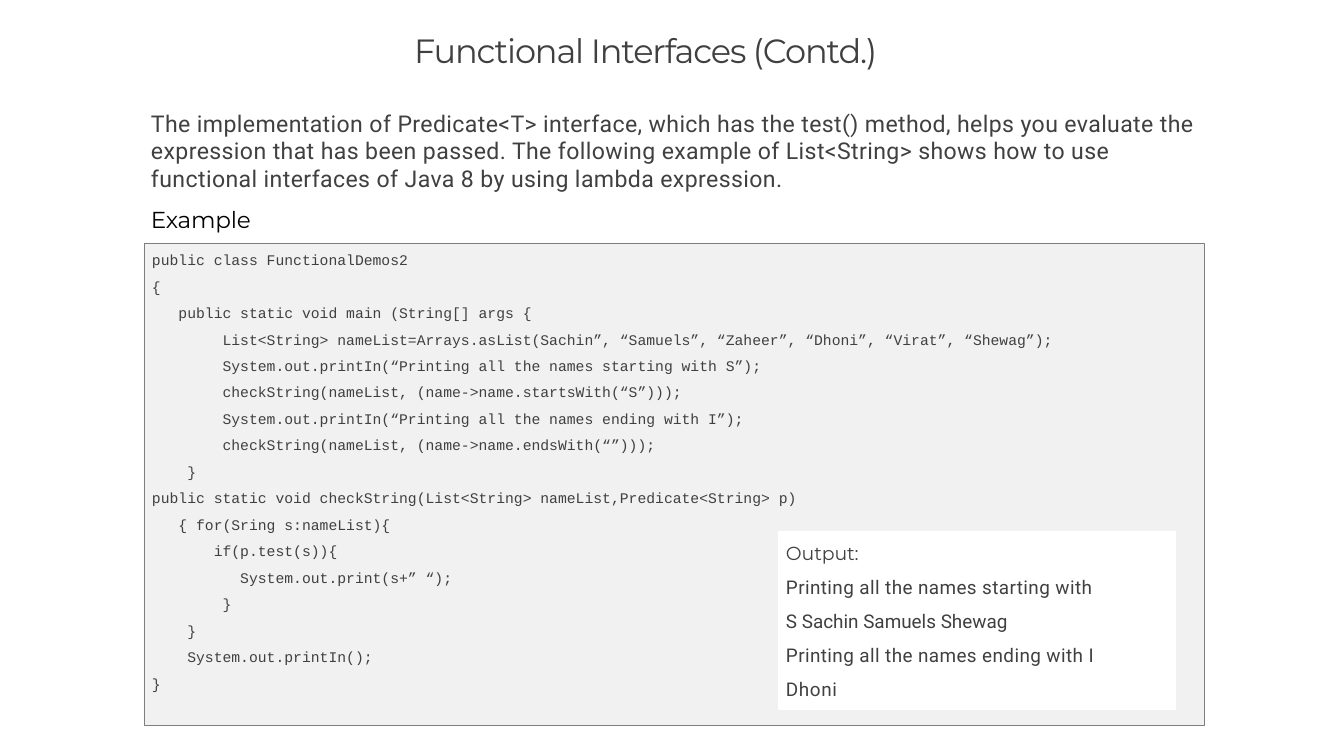
from pptx import Presentation
from pptx import util as u
from pptx.dml.color import RGBColor
from pptx.enum import shapes, text

PX = 914400 / 75.6
INK = RGBColor(0x40, 0x40, 0x40)
BLACK = RGBColor(0, 0, 0)
PANEL = RGBColor(0xF1, 0xF1, 0xF1)
PANEL_EDGE = RGBColor(0x7E, 0x7E, 0x7E)
WHITE = RGBColor(0xFF, 0xFF, 0xFF)
HEADING, BODY, MONO = "Montserrat", "Roboto", "Courier New"

INTRO = (
    "The implementation of Predicate<T> interface, which has the test() method, "
    "helps you evaluate the expression that has been passed. The following example "
    "of List<String> shows how to use functional interfaces of Java 8 by using "
    "lambda expression."
)
CODE = """\
public class FunctionalDemos2
{
   public static void main (String[] args {
        List<String> nameList=Arrays.asList(Sachin”, “Samuels”, “Zaheer”, “Dhoni”, “Virat”, “Shewag”);
        System.out.printIn(“Printing all the names starting with S”);
        checkString(nameList, (name->name.startsWith(“S”)));
        System.out.printIn(“Printing all the names ending with I”);
        checkString(nameList, (name->name.endsWith(“”)));
    }
public static void checkString(List<String> nameList,Predicate<String> p)
   { for(Sring s:nameList){
       if(p.test(s)){
          System.out.print(s+” “);
        }
    }
    System.out.printIn();
}"""
OUTPUT = [
    ("Printing all the names starting with", 0.4),
    ("S Sachin Samuels Shewag", 0),
    ("Printing all the names ending with I", 0.4),
    ("Dhoni", 0.6),
]


def px(length):
    return u.Emu(round(length * PX))


def prepare_frame(frame, left=0, top=0):
    frame.word_wrap = True
    frame.vertical_anchor = text.MSO_ANCHOR.TOP
    frame.margin_left, frame.margin_top = px(left), px(top)
    frame.margin_right = frame.margin_bottom = 0
    return frame


def add_text(frame, words, *, size, font, color=INK, spacing=0, before=0):
    """Fill the empty first paragraph, or append one; spacing is in points."""
    paragraph = frame.paragraphs[0]
    if paragraph.runs:
        paragraph = frame.add_paragraph()
        paragraph.space_before = u.Pt(before)
    paragraph.alignment = text.PP_ALIGN.LEFT
    run = paragraph.add_run()
    run.text = words
    run.font.size = u.Pt(size)
    run.font.name = font
    run.font.color.rgb = color
    if spacing:
        run.font._element.set("spc", str(round(spacing * 100)))


def add_text_area(slide, box):
    area = slide.shapes.add_textbox(*map(px, box))
    return prepare_frame(area.text_frame, top=1)


def add_panel(slide, box, fill, edge=None, inset_top=0):
    panel = slide.shapes.add_shape(shapes.MSO_SHAPE.RECTANGLE, *map(px, box))
    panel.shadow.inherit = False
    panel.fill.solid()
    panel.fill.fore_color.rgb = fill
    if edge is None:
        panel.line.fill.background()
    else:
        panel.line.color.rgb = edge
        panel.line.width = u.Pt(0.72)
    return prepare_frame(panel.text_frame, left=8, top=inset_top)


def add_title(slide, box):
    title = add_text_area(slide, box)
    add_text(title, "Functional Interfaces (Contd.)", size=32, font=HEADING, spacing=-1.1)


def add_intro(slide, box):
    intro = add_text_area(slide, box)
    add_text(intro, INTRO, size=22, font=BODY, spacing=0.4)
    add_text(intro, "Example", size=22, font=HEADING, color=BLACK,
             spacing=-0.2, before=12.3)


def add_code(slide, box):
    code = add_panel(slide, box, PANEL, PANEL_EDGE, inset_top=8)
    for line in CODE.splitlines():
        add_text(code, line, size=14, font=MONO, before=8.4)


def add_output(slide, box):
    output = add_panel(slide, box, WHITE, inset_top=11)
    add_text(output, "Output:", size=18, font=HEADING, spacing=-0.1)
    for line, spacing in OUTPUT:
        add_text(output, line, size=18, font=BODY, spacing=spacing, before=10.8)


def main():
    deck = Presentation()
    deck.slide_width, deck.slide_height = px(1344), px(756)
    slide = deck.slides.add_slide(deck.slide_layouts[6])
    add_title(slide, (414, 29, 849, 49))
    add_intro(slide, (151, 108, 1061, 126))
    code_left, code_top = 144, 243
    add_code(slide, (code_left, code_top, 1060, 482))
    add_output(slide, (code_left + 634, code_top + 288, 398, 179))
    deck.save("out.pptx")


if __name__ == "__main__":
    main()
